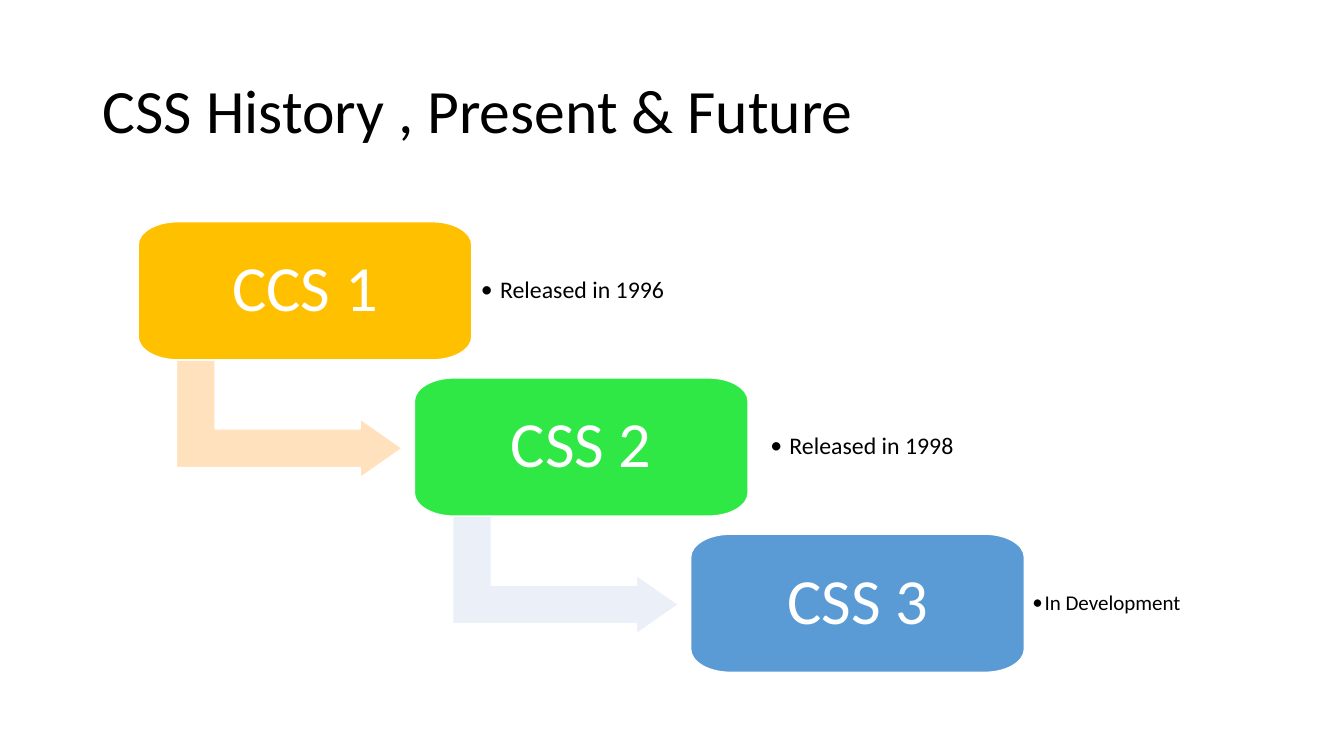
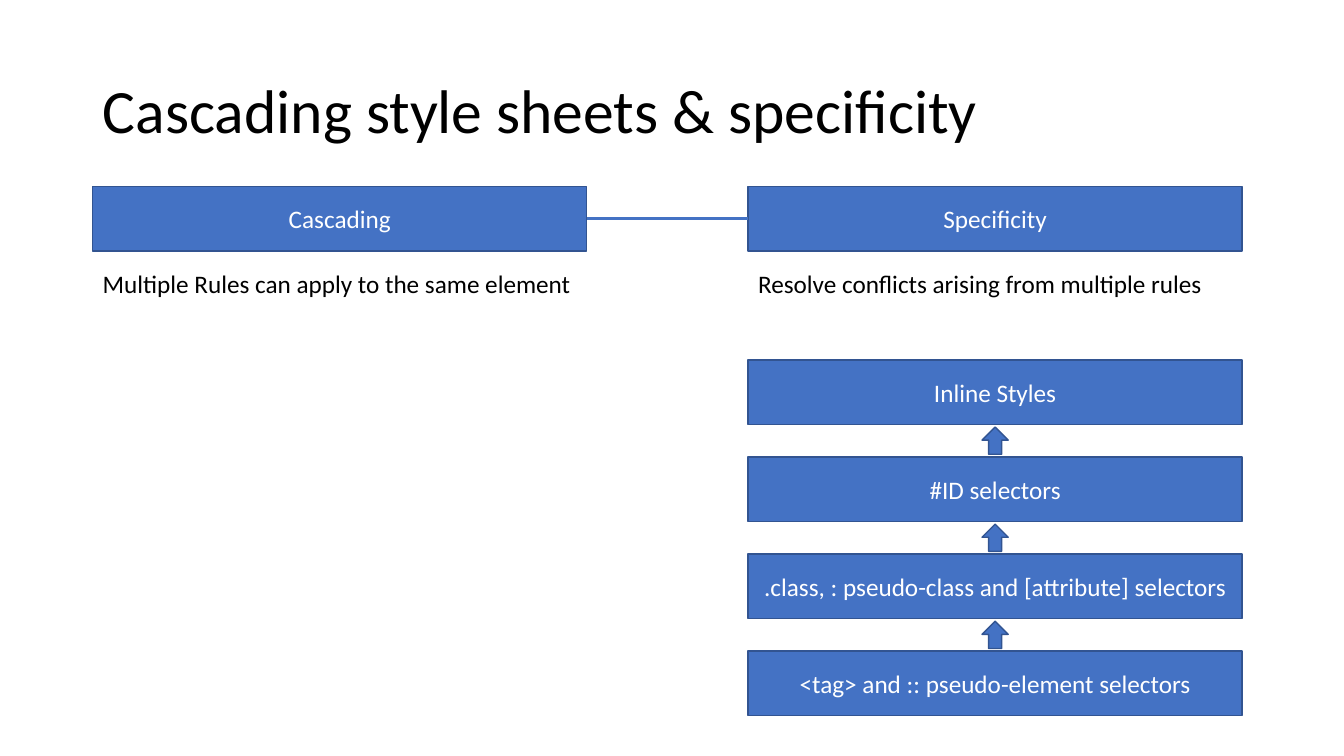
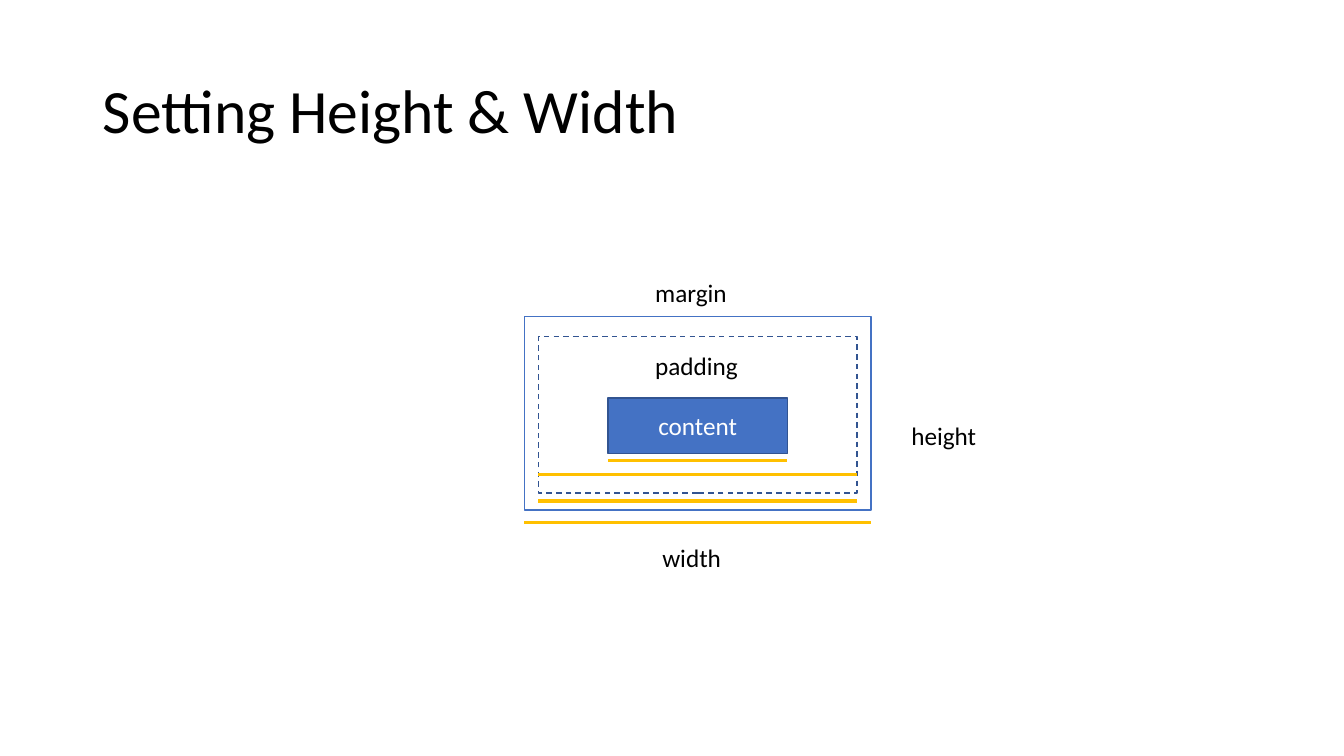
from collections import namedtuple

from lxml.etree import SubElement
from pptx import Presentation
from pptx.dml.color import RGBColor
from pptx.enum.dml import MSO_LINE
from pptx.enum.shapes import MSO_CONNECTOR, MSO_SHAPE
from pptx.enum.text import MSO_ANCHOR, MSO_AUTO_SIZE, PP_ALIGN
from pptx.oxml.ns import qn
from pptx.util import Inches, Pt

Box = namedtuple("Box", "left top width height")

FONT = "Calibri"
BLACK, WHITE = "000000", "FFFFFF"
BLUE, DARK_BLUE, AMBER = "4472C4", "325491", "FFC000"
SLIDE_WIDTH, SLIDE_HEIGHT = 13.33, 7.5
MARGIN = 0.92
TITLE_BOX = Box(MARGIN, 0.4, 11.5, 1.45)


def color(value):
    return RGBColor.from_string(value)


def emu(box):
    return [Inches(length) for length in box]


def within(parent, left, top, width, height):
    """Box placed by its offset from the corner of its parent."""
    return Box(parent.left + left, parent.top + top, width, height)


def set_font(paragraph, size, text_color):
    font = paragraph.font
    font.name, font.size = FONT, Pt(size)
    font.color.rgb = color(text_color)


def style_shape(shape, fill, line, dash=None):
    shape.shadow.inherit = False
    if fill:
        shape.fill.solid()
        shape.fill.fore_color.rgb = color(fill)
    else:
        shape.fill.background()
    if line:
        shape.line.color.rgb = color(line)
        shape.line.width = Pt(1)
    else:
        shape.line.fill.background()
    if dash:
        shape.line.dash_style = dash


def write_middle(shape, text, inset=0.1, line_spacing=1.0,
                 alignment=PP_ALIGN.CENTER):
    frame = shape.text_frame
    frame.word_wrap = True
    frame.vertical_anchor = MSO_ANCHOR.MIDDLE
    frame.margin_left = frame.margin_right = Inches(inset)
    paragraph = frame.paragraphs[0]
    paragraph.text = text
    paragraph.alignment = alignment
    paragraph.line_spacing = line_spacing
    return paragraph


def add_block(slide, box, fill=BLUE, line=DARK_BLUE, text=None,
              kind=MSO_SHAPE.RECTANGLE, dash=None):
    shape = slide.shapes.add_shape(kind, *emu(box))
    style_shape(shape, fill, line, dash)
    if text:
        set_font(write_middle(shape, text), 18, WHITE)
    return shape


def add_rule(slide, left, right, top, line):
    connector = slide.shapes.add_connector(
        MSO_CONNECTOR.STRAIGHT, *emu((left, top, right, top)))
    connector.line.color.rgb = color(line)
    connector.line.width = Pt(2.25)
    SubElement(connector._element.spPr, qn("a:effectLst"))


def add_label(slide, box, text):
    frame = slide.shapes.add_textbox(*emu(box)).text_frame
    frame.word_wrap = False
    frame.auto_size = MSO_AUTO_SIZE.SHAPE_TO_FIT_TEXT
    frame.text = text
    set_font(frame.paragraphs[0], 18, BLACK)


def add_titled_slide(presentation, title):
    slide = presentation.slides.add_slide(presentation.slide_layouts[5])
    shape = slide.shapes.title
    shape.left, shape.top, shape.width, shape.height = emu(TITLE_BOX)
    shape.text_frame.auto_size = MSO_AUTO_SIZE.NONE
    paragraph = write_middle(shape, title, line_spacing=0.9,
                             alignment=PP_ALIGN.LEFT)
    set_font(paragraph, 44, BLACK)
    return slide


def round_corners(outline):
    """Turn every other segment of an eight-sided outline into a curve."""
    bend = 0.55
    corners = list(outline.iter(qn("a:lnTo")))[::2]
    for index, segment in enumerate(corners):
        start = segment.getprevious()[-1]
        end = segment[0]
        start_x, start_y = int(start.get("x")), int(start.get("y"))
        end_x, end_y = int(end.get("x")), int(end.get("y"))
        corner_x, corner_y = ((end_x, start_y) if index % 2
                              else (start_x, end_y))
        curve = segment.makeelement(qn("a:cubicBezTo"))
        for from_x, from_y in ((start_x, start_y), (end_x, end_y)):
            handle = SubElement(curve, qn("a:pt"))
            handle.set("x", str(round(from_x + bend * (corner_x - from_x))))
            handle.set("y", str(round(from_y + bend * (corner_y - from_y))))
        curve.append(end)
        segment.getparent().replace(segment, curve)


def add_stage_card(slide, box, text, fill):
    """Card whose corners are wider than they are high."""
    radius_x, radius_y = 0.39, 0.23
    left, top = box.left, box.top
    right, bottom = left + box.width, top + box.height
    points = [emu(point) for point in (
        (left, top + radius_y), (left + radius_x, top),
        (right - radius_x, top), (right, top + radius_y),
        (right, bottom - radius_y), (right - radius_x, bottom),
        (left + radius_x, bottom), (left, bottom - radius_y))]
    builder = slide.shapes.build_freeform(*points[0])
    builder.add_line_segments(points[1:], close=True)
    card = builder.convert_to_shape()
    round_corners(card._element.spPr)
    style_shape(card, fill, WHITE)
    set_font(write_middle(card, text, 0.26, 0.9), 46, WHITE)


def add_stage_note(slide, box, text, size, inset, indent):
    shape = add_block(slide, box, fill=None, line=None)
    paragraph = write_middle(shape, text, inset, 0.9, PP_ALIGN.LEFT)
    paragraph.level = 1
    properties = paragraph._p.get_or_add_pPr()
    properties.set("marL", str(Inches(indent)))
    properties.set("indent", str(-Inches(indent)))
    SubElement(properties, qn("a:buFont")).set("typeface", FONT)
    SubElement(properties, qn("a:buChar")).set("char", "•")
    set_font(paragraph, size, BLACK)


def add_stage_arrow(slide, box, fill):
    """Bent arrow turned to fill the box, from its top left to its right."""
    middle_x, middle_y = box.left + box.width / 2, box.top + box.height / 2
    upright = Box(middle_x - box.height / 2, middle_y - box.width / 2,
                  box.height, box.width)
    arrow = add_block(slide, upright, fill, WHITE, kind=MSO_SHAPE.BENT_UP_ARROW)
    arrow.rotation = 90
    for index, share in enumerate((0.328, 0.25, 0.358)):
        arrow.adjustments[index] = share


def build_history(presentation):
    slide = add_titled_slide(presentation, "CSS History , Present & Future")
    first = Box(1.37, 2.2, 3.31, 1.37)
    step_x, step_y = 2.74, 1.55
    stages = [
        ("CCS 1", AMBER, "FFE2BD", "Released in 1996", 0, 2.41, 17, 0.09, 0.19),
        ("CSS 2", "30E845", "EBF0F8", "Released in 1998", 0.13, 2.13, 17, 0.09, 0.19),
        ("CSS 3", "5B9BD5", None, "In Development", 0, 2.41, 15, 0.08, 0.12),
    ]
    for index, (name, fill, arrow_fill, note, gap, note_width, size,
                inset, indent) in enumerate(stages):
        card = within(first, index * step_x, index * step_y,
                      first.width, first.height)
        if arrow_fill:
            add_stage_arrow(slide, within(card, 0.38, card.height, 2.24, 1.17),
                            arrow_fill)
        add_stage_card(slide, card, name, fill)
        note_box = within(card, card.width + gap, 0.13, note_width, 1.11)
        add_stage_note(slide, note_box, note, size, inset, indent)


def add_selector_ladder(slide, area, selectors):
    """Equal blocks from top to bottom, with an up arrow in each gap."""
    block_height, arrow_width, arrow_height = 0.64, 0.26, 0.27
    pitch = (area.height - block_height) / (len(selectors) - 1)
    gap = pitch - block_height
    for index, selector in enumerate(selectors):
        block = within(area, 0, index * pitch, area.width, block_height)
        add_block(slide, block, text=selector)
        if index:
            arrow = within(block, (block.width - arrow_width) / 2,
                           -(gap + arrow_height) / 2, arrow_width, arrow_height)
            add_block(slide, arrow, kind=MSO_SHAPE.UP_ARROW)


def build_specificity(presentation):
    slide = add_titled_slide(presentation, "Cascading style sheets & specificity")
    heading_top, heading_height, column_width = 1.85, 0.64, 4.9
    left_column, right_column = MARGIN, 7.42
    columns = [
        (left_column, "Cascading",
         "Multiple Rules can apply to the same element", 4.9),
        (right_column, "Specificity",
         "Resolve conflicts arising from multiple rules", 4.71),
    ]
    for left, heading, text, text_width in columns:
        box = Box(left, heading_top, column_width, heading_height)
        add_block(slide, box, text=heading)
        add_label(slide, within(box, 0, 0.76, text_width, 0.4), text)
    add_rule(slide, left_column + column_width, right_column,
             heading_top + heading_height / 2, BLUE)
    add_selector_ladder(slide, Box(right_column, 3.57, column_width, 3.53), [
        "Inline Styles",
        "#ID selectors",
        ".class, : pseudo-class and [attribute] selectors",
        "<tag> and :: pseudo-element selectors",
    ])


def add_box_model(slide, margin_box):
    padding_box = within(margin_box, 0.14, 0.2, 3.16, 1.55)
    content_box = within(margin_box, 0.83, 0.81, 1.78, 0.55)
    add_block(slide, content_box, text="content")
    add_block(slide, padding_box, fill=None, dash=MSO_LINE.DASH)
    add_block(slide, margin_box, fill=None, line=BLUE)
    measures = [(content_box, 1.43), (padding_box, 1.57),
                (padding_box, 1.83), (margin_box, 2.04)]
    for box, drop in measures:
        add_rule(slide, box.left, box.left + box.width,
                 margin_box.top + drop, AMBER)
    labels = [("padding", 1.2, 0.29, 1.03), ("margin", 1.2, -0.44, 0.92),
              ("height", 3.74, 0.98, 0.85), ("width", 1.27, 2.19, 0.79)]
    for text, left, top, width in labels:
        add_label(slide, within(margin_box, left, top, width, 0.4), text)


def build_box_model(presentation):
    slide = add_titled_slide(presentation, "Setting Height & Width")
    add_box_model(slide, Box(5.2, 3.14, 3.44, 1.92))


def main():
    presentation = Presentation()
    presentation.slide_width = Inches(SLIDE_WIDTH)
    presentation.slide_height = Inches(SLIDE_HEIGHT)
    build_history(presentation)
    build_specificity(presentation)
    build_box_model(presentation)
    presentation.save("out.pptx")


if __name__ == "__main__":
    main()
